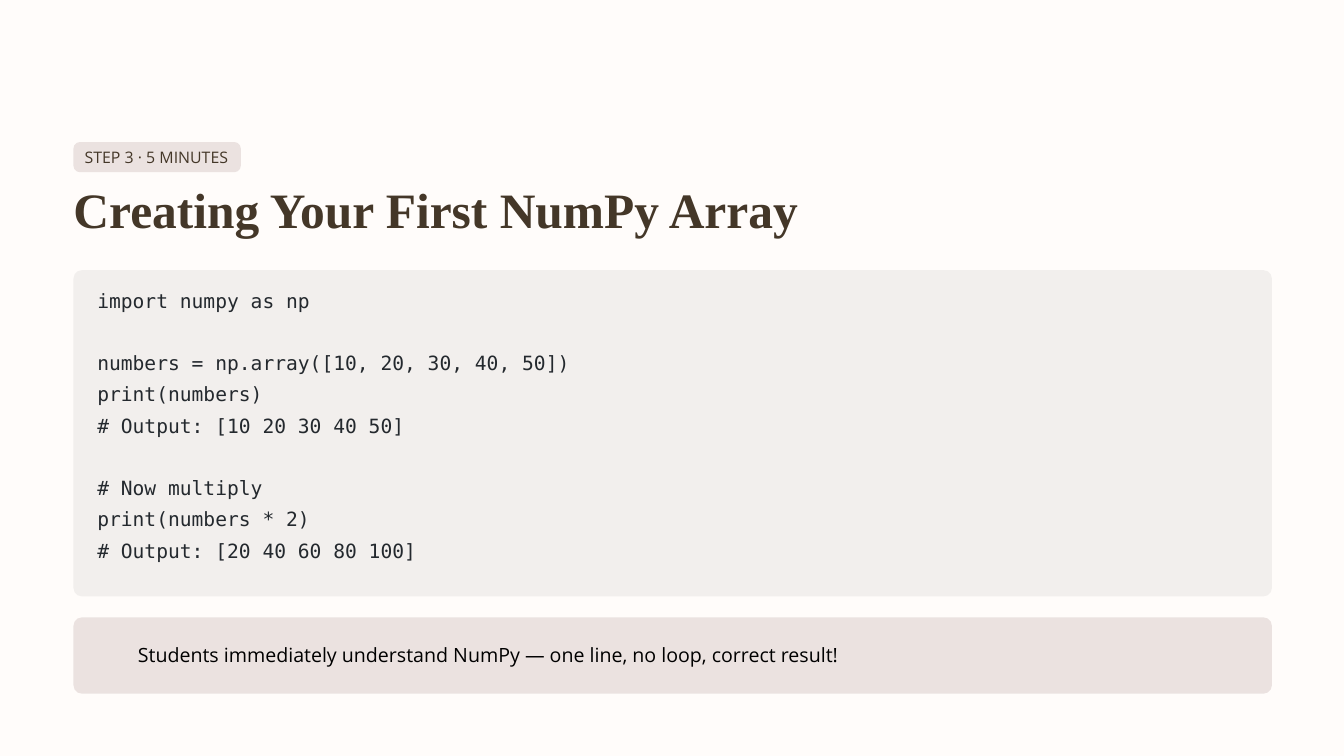
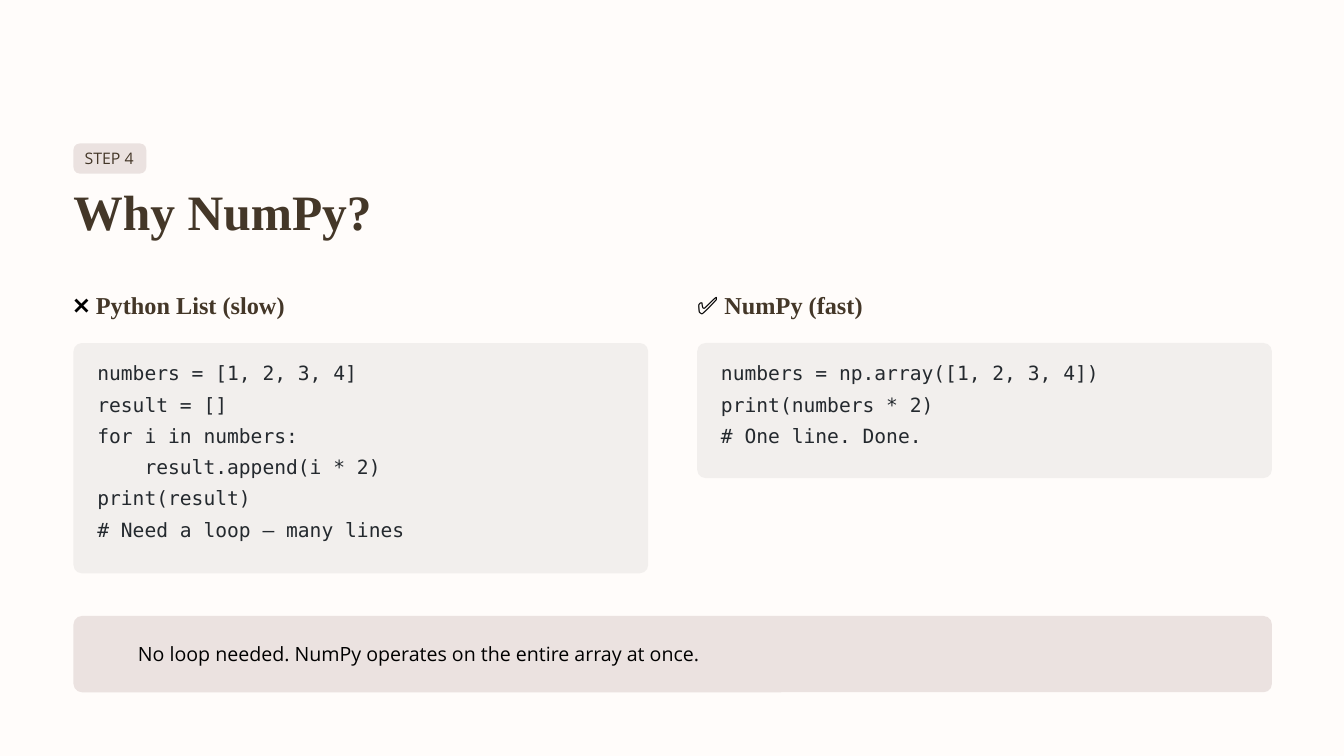
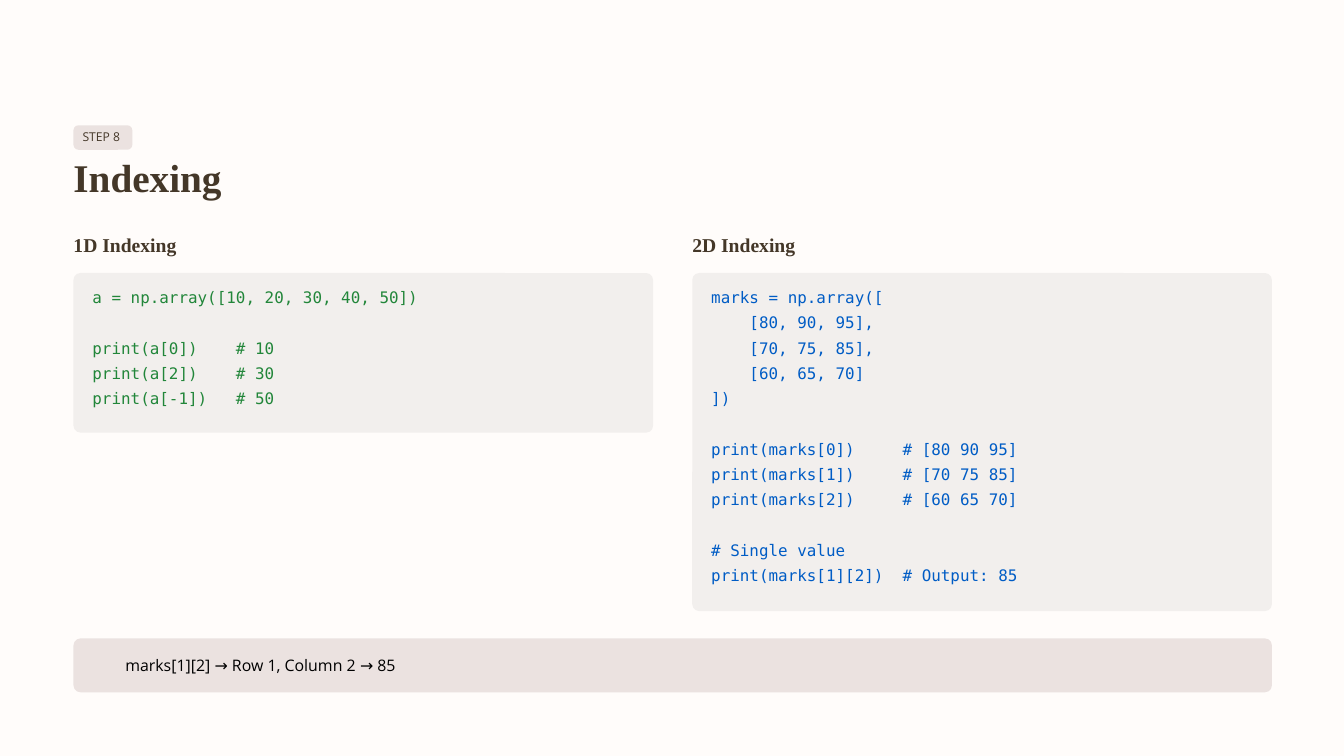
from dataclasses import dataclass

from pptx import Presentation
from pptx.dml.color import RGBColor
from pptx.enum.shapes import MSO_SHAPE
from pptx.util import Pt

ROUNDED = MSO_SHAPE.ROUNDED_RECTANGLE
EMU_PER_PX = 9525
SLIDE_W, SLIDE_H = 1920, 1080
LEFT, CONTENT_W = 105, 1712


@dataclass(frozen=True)
class Type:
    """A font with its size and line height in points."""
    font: str
    size: int
    leading: float
    bold: bool = False


@dataclass(frozen=True)
class Density:
    """Type styles and pixel gaps that go together on a slide."""
    badge: Type
    title: Type
    heading: Type
    code: Type
    callout: Type
    badge_h: int
    badge_pad: tuple
    badge_radius: int
    title_drop: int
    heading_drop: int
    code_pad: tuple
    callout_h: int
    callout_pad: tuple
    radius: int
    gutter: int


class Theme:
    """Colours, fonts and the two densities shared by the slides."""
    PAPER, PANEL, ACCENT = "FFFCFA", "F2EFED", "EBE2E0"
    BROWN, BLACK = "443728", "000000"
    CODE, GREEN, BLUE = "24292E", "22863A", "005CC5"
    SERIF, SANS, MONO = "Times New Roman", "Open Sans", "DejaVu Sans Mono"
    ROOMY = Density(
        badge=Type(SANS, 17, 19.6), title=Type(SERIF, 53, 66.1, True),
        heading=Type(SERIF, 26, 32.4, True), code=Type(MONO, 21, 33.5),
        callout=Type(SANS, 21, 32.8), badge_h=43, badge_pad=(16, 9),
        badge_radius=9, title_drop=50, heading_drop=77, code_pad=(34, 15),
        callout_h=109, callout_pad=(92, 27), radius=12, gutter=70)
    COMPACT = Density(
        badge=Type(SANS, 13, 15), title=Type(SERIF, 42, 52.4, True),
        heading=Type(SERIF, 21, 26.2, True), code=Type(MONO, 17, 27.1),
        callout=Type(SANS, 17, 24.1), badge_h=35, badge_pad=(13, 7),
        badge_radius=7, title_drop=38, heading_drop=58, code_pad=(27, 12),
        callout_h=77, callout_pad=(74, 19), radius=10, gutter=56)


def px(n):
    """Convert pixels to EMU."""
    return int(n * EMU_PER_PX)


def add_panel(s, x, y, w, h, radius, color):
    """Add a plain rounded panel."""
    sp = s.shapes.add_shape(ROUNDED, px(x), px(y), px(w), px(h))
    sp.adjustments[0] = radius / min(w, h)
    sp.shadow.inherit = False
    sp.fill.solid()
    sp.fill.fore_color.rgb = RGBColor.from_string(color)
    sp.line.fill.background()


def add_text(s, x, y, w, lines, style):
    """Add lines of (text, colour) runs; an empty line becomes space before the next."""
    h = round(len(lines) * style.leading * 96 / 72)
    tf = s.shapes.add_textbox(px(x), px(y), px(w), px(h)).text_frame
    tf.word_wrap = True
    tf.margin_left = tf.margin_right = tf.margin_top = tf.margin_bottom = 0
    p, gap = None, 0
    for runs in lines:
        if not runs:
            gap += style.leading
            continue
        p = tf.add_paragraph() if p else tf.paragraphs[0]
        p.line_spacing = Pt(style.leading)
        if gap:
            p.space_before = Pt(gap)
            gap = 0
        for text, color in runs:
            r = p.add_run()
            r.text = text
            r.font.name = style.font
            r.font.size = Pt(style.size)
            r.font.bold = style.bold
            r.font.color.rgb = RGBColor.from_string(color)


def add_header(s, y, badge, badge_w, title, d):
    """Add the step badge with the title below it."""
    dx, dy = d.badge_pad
    add_panel(s, LEFT, y, badge_w, d.badge_h, d.badge_radius, Theme.ACCENT)
    add_text(s, LEFT + dx, y + dy, badge_w - dx, [[(badge, Theme.BROWN)]], d.badge)
    add_text(s, LEFT, y + d.title_drop, CONTENT_W, [[(title, Theme.BROWN)]], d.title)


def add_code(s, x, y, w, h, code, color, d):
    """Add a code listing on its panel."""
    dx, dy = d.code_pad
    add_panel(s, x, y, w, h, d.radius, Theme.PANEL)
    lines = [[(line, color)] if line else [] for line in code.splitlines()]
    add_text(s, x + dx, y + dy, w - 2 * dx, lines, d.code)


def add_callout(s, y, text, d):
    """Add the takeaway band."""
    dx, dy = d.callout_pad
    add_panel(s, LEFT, y, CONTENT_W, d.callout_h, d.radius, Theme.ACCENT)
    add_text(s, LEFT + dx, y + dy, CONTENT_W - dx, [[(text, Theme.BLACK)]], d.callout)


def add_columns(s, y, columns, d):
    """Add equal columns, each a heading above a code listing."""
    w = (CONTENT_W - d.gutter * (len(columns) - 1)) // len(columns)
    for i, (heading, h, code, color) in enumerate(columns):
        x = LEFT + i * (w + d.gutter)
        add_text(s, x, y, w, [heading], d.heading)
        add_code(s, x, y + d.heading_drop, w, h, code, color, d)


def add_slide(prs):
    """Add a blank slide on the paper colour."""
    s = prs.slides.add_slide(prs.slide_layouts[6])
    s.background.fill.solid()
    s.background.fill.fore_color.rgb = RGBColor.from_string(Theme.PAPER)
    return s


FIRST_ARRAY = """import numpy as np

numbers = np.array([10, 20, 30, 40, 50])
print(numbers)
# Output: [10 20 30 40 50]

# Now multiply
print(numbers * 2)
# Output: [20 40 60 80 100]"""

LIST_LOOP = """numbers = [1, 2, 3, 4]
result = []
for i in numbers:
    result.append(i * 2)
print(result)
# Need a loop — many lines"""

ARRAY_MULTIPLY = """numbers = np.array([1, 2, 3, 4])
print(numbers * 2)
# One line. Done."""

INDEX_1D = """a = np.array([10, 20, 30, 40, 50])

print(a[0])    # 10
print(a[2])    # 30
print(a[-1])   # 50"""

INDEX_2D = """marks = np.array([
    [80, 90, 95],
    [70, 75, 85],
    [60, 65, 70]
])

print(marks[0])     # [80 90 95]
print(marks[1])     # [70 75 85]
print(marks[2])     # [60 65 70]

# Single value
print(marks[1][2])  # Output: 85"""


def build_first_array(prs):
    """Build the slide on creating an array."""
    s, d = add_slide(prs), Theme.ROOMY
    add_header(s, 203, "STEP 3 · 5 MINUTES", 239, "Creating Your First NumPy Array", d)
    add_code(s, LEFT, 386, CONTENT_W, 466, FIRST_ARRAY, Theme.CODE, d)
    add_callout(s, 882, "Students immediately understand NumPy — one line, no loop, "
                "correct result!", d)


def build_why_numpy(prs):
    """Build the comparison of list and array."""
    s, d = add_slide(prs), Theme.ROOMY
    add_header(s, 205, "STEP 4", 104, "Why NumPy?", d)
    add_columns(s, 413, [
        ([("❌", Theme.BLACK), (" Python List (slow)", Theme.BROWN)],
         329, LIST_LOOP, Theme.CODE),
        ([("✅", Theme.BLACK), (" NumPy (fast)", Theme.BROWN)],
         193, ARRAY_MULTIPLY, Theme.CODE),
    ], d)
    add_callout(s, 880, "No loop needed. NumPy operates on the entire array at once.", d)


def build_indexing(prs):
    """Build the slide on indexing in one and two dimensions."""
    s, d = add_slide(prs), Theme.COMPACT
    add_header(s, 179, "STEP 8", 84, "Indexing", d)
    add_columns(s, 332, [
        ([("1D Indexing", Theme.BROWN)], 228, INDEX_1D, Theme.GREEN),
        ([("2D Indexing", Theme.BROWN)], 483, INDEX_2D, Theme.BLUE),
    ], d)
    add_callout(s, 912, "marks[1][2] → Row 1, Column 2 → 85", d)


def main():
    """Build the presentation and save it."""
    prs = Presentation()
    prs.slide_width, prs.slide_height = px(SLIDE_W), px(SLIDE_H)
    build_first_array(prs)
    build_why_numpy(prs)
    build_indexing(prs)
    prs.save("out.pptx")


if __name__ == "__main__":
    main()
